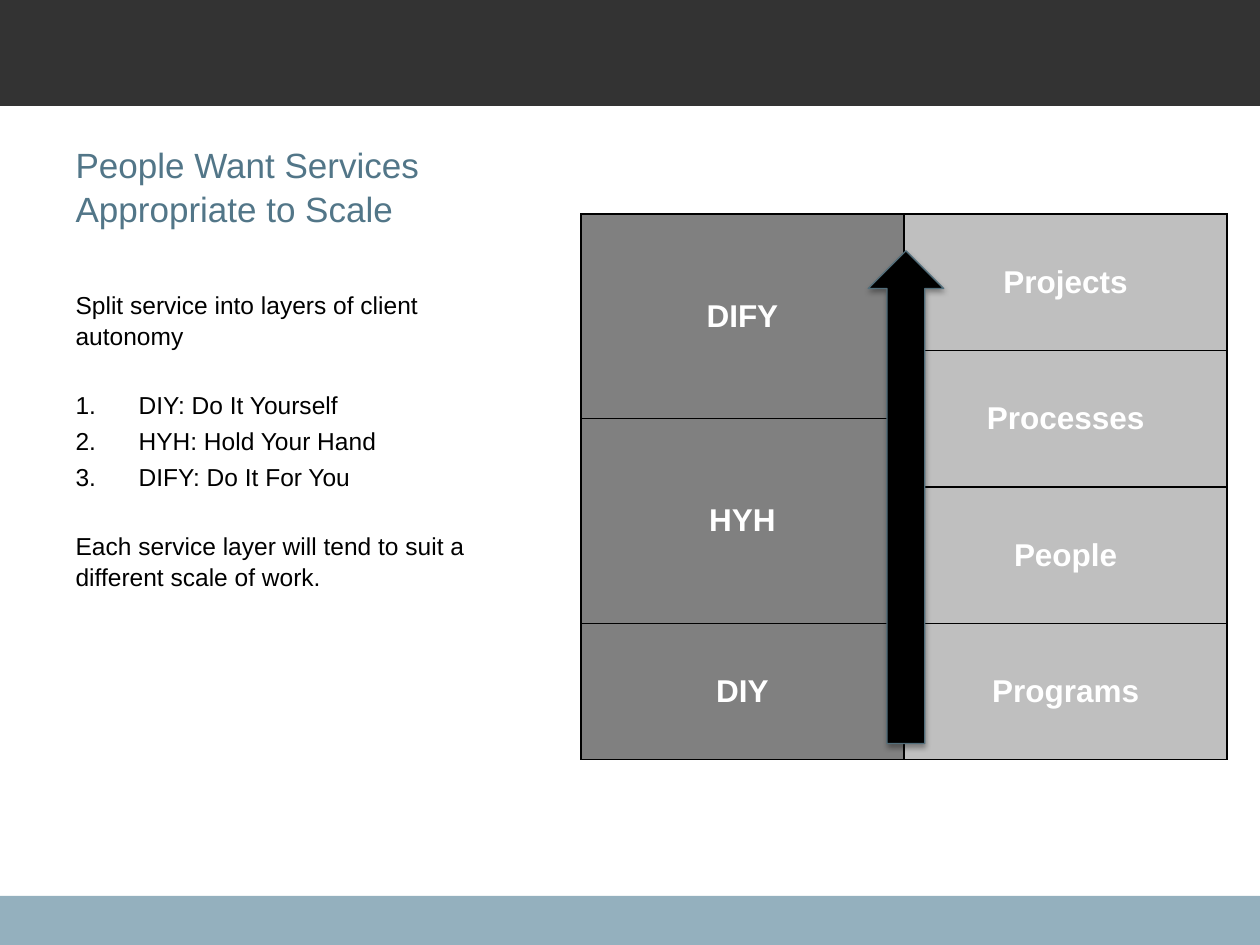
from dataclasses import dataclass

from lxml.etree import SubElement
from pptx import Presentation
from pptx.dml.color import RGBColor
from pptx.enum.shapes import MSO_SHAPE
from pptx.enum.text import MSO_ANCHOR, MSO_AUTO_SIZE, PP_ALIGN
from pptx.oxml.ns import qn
from pptx.slide import Slide
from pptx.util import Inches, Pt


def color(value):
    return RGBColor.from_string(value)


def add_element(parent, tag, **attributes):
    return SubElement(parent, qn(tag), {name: str(value) for name, value in attributes.items()})


def place(shape, left, top, width, height):
    shape.left, shape.top = Inches(left), Inches(top)
    shape.width, shape.height = Inches(width), Inches(height)


@dataclass
class SlideBuilder:
    slide: Slide
    font_name: str = "Arial"
    line_spacing: float = 1.05

    def format_paragraph(self, paragraph, size, font_color, bold=False, align=PP_ALIGN.LEFT):
        paragraph.alignment = align
        paragraph.font.name = self.font_name
        paragraph.font.size = Pt(size)
        paragraph.font.bold = bold
        paragraph.font.color.rgb = color(font_color)

    def band(self, top, height, fill):
        shape = self.slide.shapes.add_shape(
            MSO_SHAPE.RECTANGLE, 0, Inches(top), Inches(10), Inches(height))
        shape.shadow.inherit = False
        shape.fill.solid()
        shape.fill.fore_color.rgb = color(fill)
        shape.line.fill.background()
        shape.element.getparent().insert(2, shape.element)

    def title(self, text, left, top, width, height):
        shape = self.slide.shapes.title
        place(shape, left, top, width, height)
        frame = shape.text_frame
        frame.auto_size = MSO_AUTO_SIZE.NONE
        frame.vertical_anchor = MSO_ANCHOR.BOTTOM
        frame.text = text
        paragraph = frame.paragraphs[0]
        paragraph.line_spacing = self.line_spacing
        self.format_paragraph(paragraph, 20, "527688")

    def body(self, items, left, top, width, height):
        shape = self.slide.placeholders[1]
        place(shape, left, top, width, height)
        frame = shape.text_frame
        frame.auto_size = MSO_AUTO_SIZE.NONE
        frame.margin_top = Inches(0.32)
        frame.text = "\n".join(text for text, _, _ in items)
        for paragraph, (_, numbered, space_before) in zip(frame.paragraphs, items):
            paragraph.line_spacing = self.line_spacing
            paragraph.space_before = Pt(space_before)
            properties = paragraph._p.get_or_add_pPr()
            indent = Inches(0.5) if numbered else 0
            properties.set("marL", str(indent))
            properties.set("indent", str(-indent))
            if numbered:
                add_element(properties, "a:buFont", typeface="+mj-lt")
                add_element(properties, "a:buAutoNum", type="arabicPeriod")
            else:
                add_element(properties, "a:buNone")
            self.format_paragraph(paragraph, 14, "000000")

    def cell_borders(self, cell):
        properties = cell._tc.get_or_add_tcPr()
        for side in ("a:lnL", "a:lnR", "a:lnT", "a:lnB"):
            line = add_element(properties, side, w=Pt(1))
            fill = add_element(line, "a:solidFill")
            add_element(fill, "a:srgbClr", val="000000")

    def layer_table(self, columns, row_units, left, top, width, height):
        table = self.slide.shapes.add_table(
            len(row_units), len(columns),
            Inches(left), Inches(top), Inches(width), Inches(height)).table
        table.first_row = table.horz_banding = False
        for row, units in zip(table.rows, row_units):
            row.height = Inches(height * units / sum(row_units))
        for column, (fill, layers) in enumerate(columns):
            for row in range(len(row_units)):
                cell = table.cell(row, column)
                self.cell_borders(cell)
                cell.fill.solid()
                cell.fill.fore_color.rgb = color(fill)
            row = 0
            for text, span in layers:
                cell = table.cell(row, column)
                if span > 1:
                    cell.merge(table.cell(row + span - 1, column))
                cell.vertical_anchor = MSO_ANCHOR.MIDDLE
                cell.text = text
                self.format_paragraph(
                    cell.text_frame.paragraphs[0], 18, "FFFFFF", True, PP_ALIGN.CENTER)
                row += span

    def up_arrow(self, left, top, width, height):
        shape = self.slide.shapes.add_shape(
            MSO_SHAPE.UP_ARROW, Inches(left), Inches(top), Inches(width), Inches(height))
        shape.fill.solid()
        shape.fill.fore_color.rgb = color("000000")
        shape.line.color.rgb = color("526E7B")
        shape.line.width = Pt(0.75)
        shape.shadow.inherit = False
        effects = shape.element.spPr.find(qn("a:effectLst"))
        shadow = add_element(effects, "a:outerShdw", blurRad=Pt(3.1), dist=Pt(1.8),
                             dir=90 * 60000, rotWithShape=0)
        shadow_color = add_element(shadow, "a:srgbClr", val="000000")
        add_element(shadow_color, "a:alpha", val=35000)


def main():
    presentation = Presentation()
    presentation.slide_width, presentation.slide_height = Inches(10), Inches(7.5)
    builder = SlideBuilder(presentation.slides.add_slide(presentation.slide_layouts[1]))
    builder.band(0, 0.84, "333333")
    builder.band(7.11, 0.39, "94B0BE")
    builder.title("People Want Services Appropriate to Scale", 0.5, 0.6, 3.29, 1.27)
    builder.body([
        ("Split service into layers of client autonomy", False, 0),
        ("DIY: Do It Yourself", True, 22),
        ("HYH: Hold Your Hand", True, 2.8),
        ("DIFY: Do It For You", True, 2.8),
        ("Each service layer will tend to suit a different scale of work.", False, 22),
    ], 0.5, 1.97, 3.29, 5.13)
    builder.layer_table([
        ("808080", [("DIFY", 2), ("HYH", 2), ("DIY", 1)]),
        ("BFBFBF", [("Projects", 1), ("Processes", 2), ("People", 1), ("Programs", 1)]),
    ], [2, 1, 1, 2, 2], 4.61, 1.7, 5.13, 4.33)
    builder.up_arrow(6.89, 1.99, 0.6, 3.91)
    presentation.save("out.pptx")


if __name__ == "__main__":
    main()
